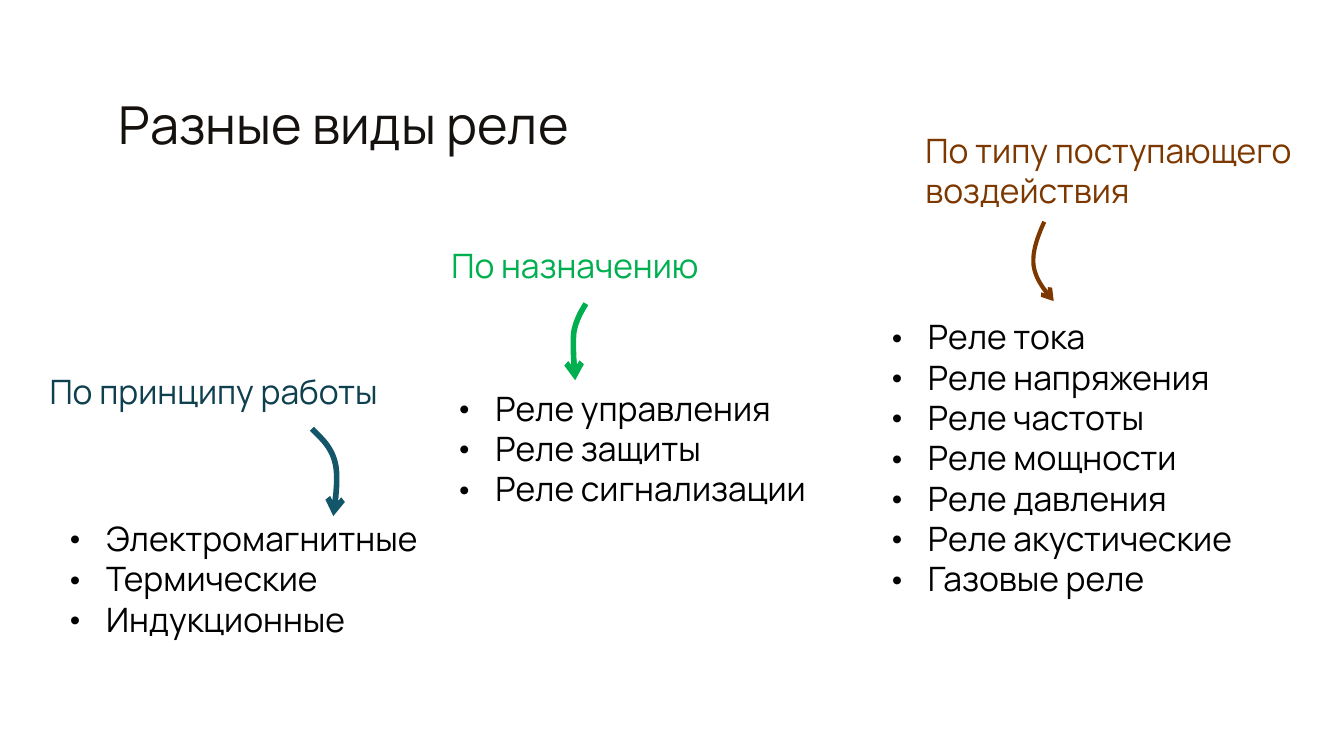
from dataclasses import dataclass

from lxml import etree
from pptx import Presentation
from pptx.dml.color import RGBColor
from pptx.enum.text import MSO_ANCHOR, MSO_AUTO_SIZE
from pptx.oxml.ns import qn
from pptx.util import Inches, Pt

TOP = MSO_ANCHOR.TOP
GROW = MSO_AUTO_SIZE.SHAPE_TO_FIT_TEXT
BLANK = 6
COLS = 100
ROWS = COLS * 9 / 16
CURVE_STEPS = 16


@dataclass(frozen=True)
class Theme:
    font: str = "Manrope"
    title_size: int = 28
    body_size: int = 18
    title: str = "15110E"
    body: str = "000000"
    teal: str = "0E404F"
    teal_arrow: str = "135669"
    green: str = "00B050"
    brown: str = "7D3800"


def bezier(p0, p1, p2, p3):
    """Points along a cubic curve, without its start."""
    for i in range(1, CURVE_STEPS + 1):
        t = i / CURVE_STEPS
        weights = (1 - t) ** 3, 3 * t * (1 - t) ** 2, 3 * t * t * (1 - t), t ** 3
        yield tuple(sum(w * p[axis] for w, p in zip(weights, (p0, p1, p2, p3)))
                    for axis in (0, 1))


class SlideBuilder:
    """Draws on one slide; lengths are columns and rows of a square 16:9 grid."""

    def __init__(self, prs, theme):
        self.theme = theme
        self.slide = prs.slides.add_slide(prs.slide_layouts[BLANK])
        self.col = prs.slide_width / COLS
        self.row = prs.slide_height / ROWS

    def x(self, cols):
        return round(cols * self.col)

    def y(self, rows):
        return round(rows * self.row)

    def text(self, box, lines, color, size, bullets=False):
        left, top, width, height = box
        sp = self.slide.shapes.add_textbox(
            self.x(left), self.y(top), self.x(width), self.y(height))
        tf = sp.text_frame
        tf.text = "\n".join(lines)
        tf.word_wrap = not bullets
        tf.vertical_anchor = TOP
        for p in tf.paragraphs:
            if bullets:
                self.bullet(p)
            for r in p.runs:
                r.font.name = self.theme.font
                r.font.size = Pt(size)
                r.font.color.rgb = RGBColor.from_string(color)
        return tf

    def bullet(self, p):
        pPr = p._p.get_or_add_pPr()
        indent = self.x(3.12)
        pPr.set("marL", str(indent))
        pPr.set("indent", str(-indent))
        clr = etree.SubElement(pPr, qn("a:buClr"))
        etree.SubElement(clr, qn("a:srgbClr"), val=self.theme.body)
        etree.SubElement(pPr, qn("a:buFont"), typeface=self.theme.font)
        etree.SubElement(pPr, qn("a:buChar"), char="•")

    def title(self, box, text):
        tf = self.text(box, [text], self.theme.title, self.theme.title_size)
        tf.margin_top = tf.margin_bottom = self.y(1)

    def heading(self, box, text, color):
        self.text(box, [text], color, self.theme.body_size).auto_size = GROW

    def bullets(self, box, items):
        tf = self.text(box, items, self.theme.body, self.theme.body_size, bullets=True)
        tf.auto_size = GROW

    def arrow(self, knots, color, width):
        """Curved arrow through two cubic segments, given as seven points."""
        pts = [(self.x(x), self.y(y)) for x, y in knots]
        fb = self.slide.shapes.build_freeform(*pts[0])
        curve = [*bezier(*pts[:4]), *bezier(*pts[3:])]
        fb.add_line_segments([(round(x), round(y)) for x, y in curve], close=False)
        sp = fb.convert_to_shape()
        sp.shadow.inherit = False
        sp.fill.background()
        sp.line.color.rgb = RGBColor.from_string(color)
        sp.line.width = Pt(width)
        etree.SubElement(sp.line._get_or_add_ln(), qn("a:tailEnd"), type="arrow")


def main():
    prs = Presentation()
    prs.slide_width = Inches(10)
    prs.slide_height = prs.slide_width * 9 // 16
    theme = Theme()
    s = SlideBuilder(prs, theme)

    s.title((7.85, 5.9, 84.4, 6), "Разные виды реле")

    s.heading((2.7, 27.1, 34.1, 4), "По принципу работы", theme.teal)
    s.arrow([(23.2, 31.9), (23.9, 32.6), (24.6, 33.2), (24.9, 34.3),
             (25.2, 35.3), (25, 36.9), (24.8, 38.4)], theme.teal_arrow, 3)
    s.bullets((3.8, 38.04, 28.6, 10.1),
              ["Электромагнитные", "Термические", "Индукционные"])

    s.heading((32.6, 17.75, 22, 4), "По назначению", theme.green)
    s.arrow([(43.6, 22.6), (43.3, 23.1), (42.9, 23.7), (42.7, 24.7),
             (42.6, 25.6), (42.7, 27), (42.8, 28.3)], theme.green, 3)
    s.bullets((32.75, 28.34, 28.5, 10.1),
              ["Реле управления", "Реле защиты", "Реле сигнализации"])

    s.heading((67.87, 9.17, 33.6, 7.1), "По типу поступающего воздействия", theme.brown)
    s.arrow([(77.7, 16.5), (77.2, 17.6), (76.8, 18.7), (76.9, 19.7),
             (77, 20.7), (77.7, 21.6), (78.4, 22.4)], theme.brown, 2.25)
    s.bullets((64.94, 23.04, 28.1, 22.2),
              ["Реле тока", "Реле напряжения", "Реле частоты", "Реле мощности",
               "Реле давления", "Реле акустические", "Газовые реле"])

    prs.save("out.pptx")


if __name__ == "__main__":
    main()
